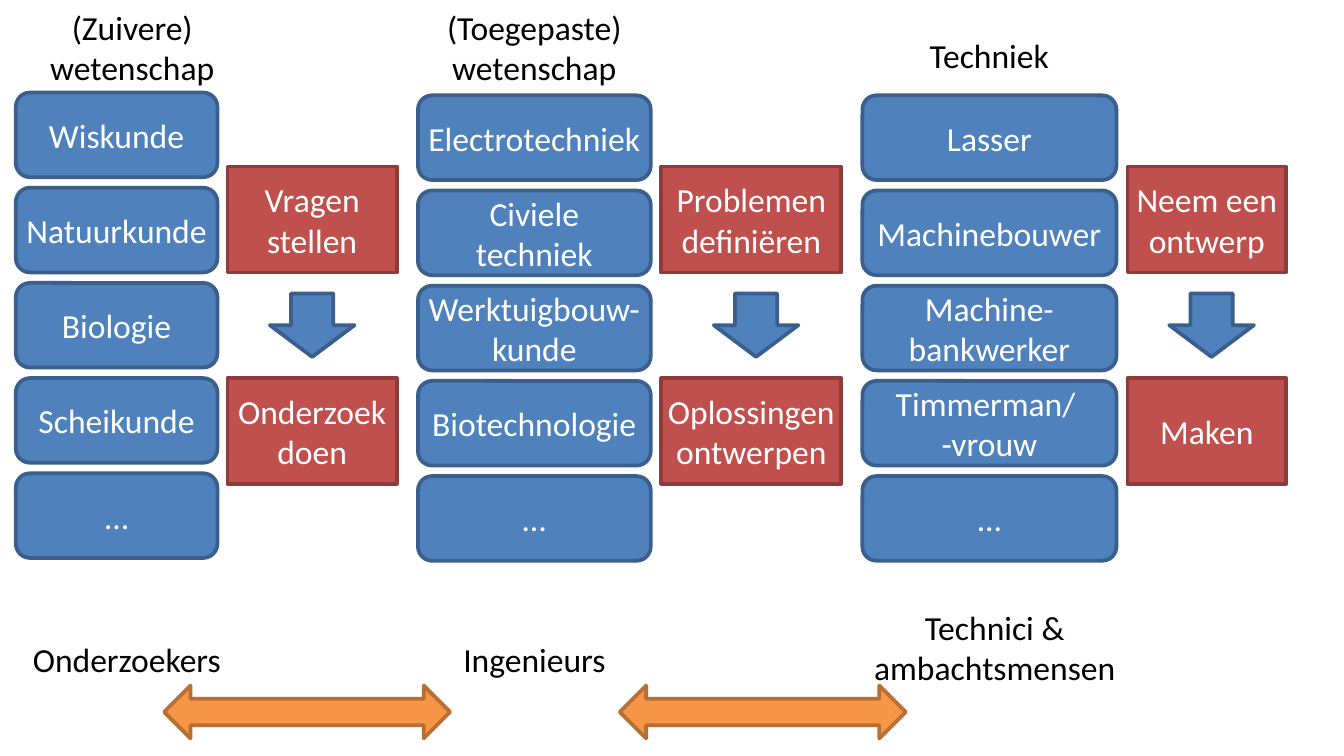
from pptx import Presentation
from pptx.dml.color import RGBColor
from pptx.enum import shapes, text
from pptx.util import Pt

COLORS = {
    "blue": "4F81BD", "blue_edge": "3A5F8C",
    "red": "C0504D", "red_edge": "8E3B39",
    "orange": "F79646", "orange_edge": "B76F34",
    "white": "FFFFFF", "black": "000000",
}
KIND = shapes.MSO_SHAPE


def rgb(name):
    return RGBColor.from_string(COLORS[name])


class Diagram:
    """Holds the text style and the current slide."""
    font, size, edge, inset = "Calibri", 18, 2, 2.83

    def __init__(self, slide):
        self.slide = slide

    def add_text(self, frame, paragraphs, color):
        frame.word_wrap = True
        for i, content in enumerate(paragraphs):
            para = frame.paragraphs[0] if i == 0 else frame.add_paragraph()
            para.alignment = text.PP_ALIGN.CENTER
            for j, line in enumerate(content.split("\n")):
                if j:
                    para.add_line_break()
                run = para.add_run()
                run.text = line
                run.font.name, run.font.size = self.font, Pt(self.size)
                run.font.color.rgb = rgb(color)

    def label(self, left, top, width, height, *paragraphs):
        box = self.slide.shapes.add_textbox(Pt(left), Pt(top), Pt(width), Pt(height))
        self.add_text(box.text_frame, paragraphs, "black")
        box.text_frame.auto_size = text.MSO_AUTO_SIZE.SHAPE_TO_FIT_TEXT

    def shape(self, kind, color, left, top, width, height, caption=None):
        part = self.slide.shapes.add_shape(kind, Pt(left), Pt(top), Pt(width), Pt(height))
        part.shadow.inherit = False
        part.fill.solid()
        part.fill.fore_color.rgb = rgb(color)
        part.line.color.rgb = rgb(color + "_edge")
        part.line.width = Pt(self.edge)
        if caption:
            frame = part.text_frame
            frame.margin_left = frame.margin_right = Pt(self.inset)
            frame.margin_top = frame.margin_bottom = Pt(self.inset)
            frame.vertical_anchor = text.MSO_ANCHOR.MIDDLE
            self.add_text(frame, [caption], "white")


deck = Presentation()
deck.slide_width, deck.slide_height = Pt(720), Pt(405)
diagram = Diagram(deck.slides.add_slide(deck.slide_layouts[6]))

# Headings: left, top, width, height, wording
for heading in [
    (0, 0, 141.8, 51, "(Zuivere) wetenschap"),
    (223.9, 0, 124.7, 51, "(Toegepaste) wetenschap"),
    (462, 15.1, 136.1, 28.8, "Techniek"),
]:
    diagram.label(*heading)

# Fields in stacked boxes: left, top, width, names
FIELD_HEIGHT, FIELD_PITCH = 45.35, 51
for left, top, width, fields in [
    (8.5, 49.6, 108,
     ["Wiskunde", "Natuurkunde", "Biologie", "Scheikunde", "…"]),
    (223.9, 51.1, 124.7,
     ["Electrotechniek", "Civiele techniek", "Werktuigbouw-kunde", "Biotechnologie", "…"]),
    (462, 51.1, 136.1,
     ["Lasser", "Machinebouwer", "Machine-bankwerker", "Timmerman/ \n-vrouw", "…"]),
]:
    for row, field in enumerate(fields):
        diagram.shape(KIND.ROUNDED_RECTANGLE, "blue", left, top + row * FIELD_PITCH,
                      width, FIELD_HEIGHT, field)

# Activities: first step, arrow down, second step
STEP_HEIGHT, FIRST_TOP, ARROW_TOP, SECOND_TOP = 56.7, 89.3, 157.2, 202.6
for left, width, arrow_left, first, second in [
    (121.9, 90.7, 144.6, "Vragen stellen", "Onderzoek doen"),
    (354.3, 96.4, 382.4, "Problemen definiëren", "Oplossingen ontwerpen"),
    (604, 85, 626.4, "Neem een ontwerp", "Maken"),
]:
    for top, step in [(FIRST_TOP, first), (SECOND_TOP, second)]:
        diagram.shape(KIND.RECTANGLE, "red", left, top, width, STEP_HEIGHT, step)
    diagram.shape(KIND.DOWN_ARROW, "blue", arrow_left, ARROW_TOP, 45.35, 34)

# Professions and the exchange between them
for profession in [
    (8.5, 338.6, 119, 28.8, "Onderzoekers"),
    (218.3, 338.6, 136.1, 28.8, "Ingenieurs"),
    (456.4, 321.6, 153, 51, "Technici &", "ambachtsmensen"),
]:
    diagram.label(*profession)
for left in (87.9, 332):
    diagram.shape(KIND.LEFT_RIGHT_ARROW, "orange", left, 367.3, 153.2, 28.3)

deck.save("out.pptx")
